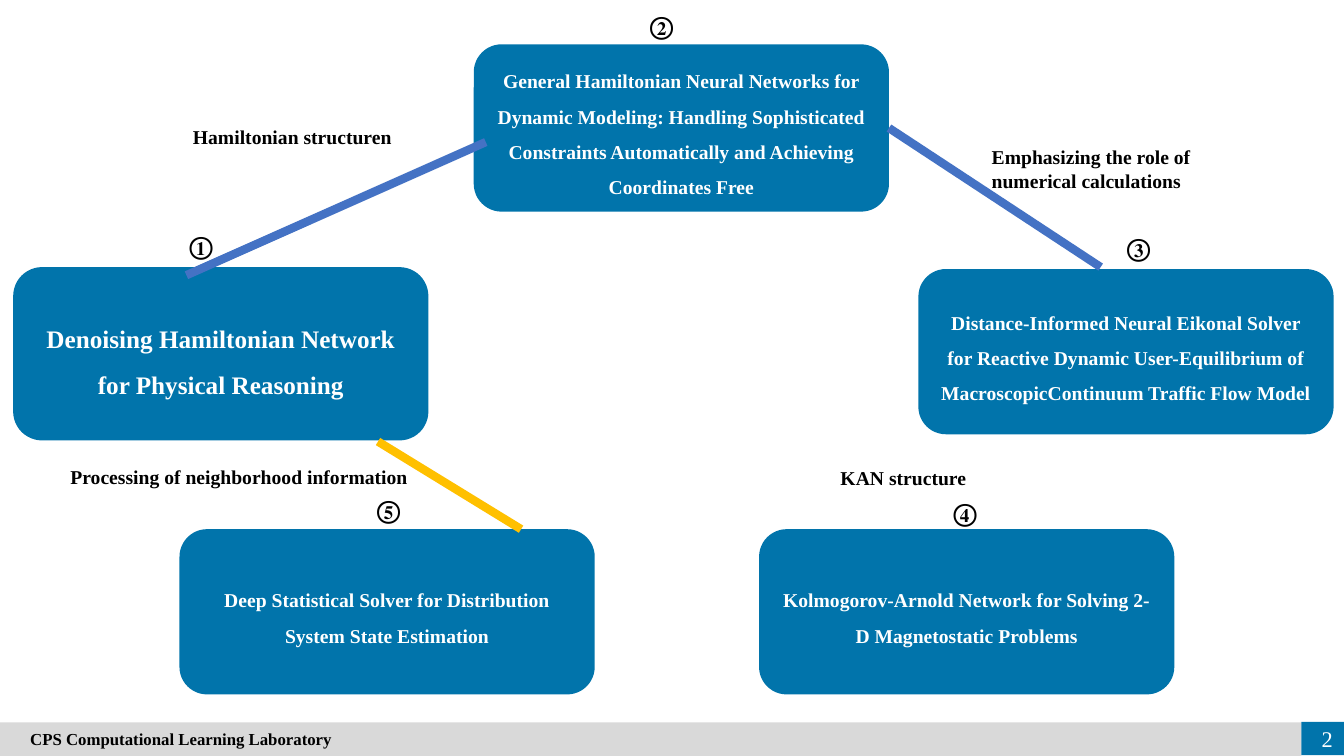
import pptx
import pptx.util
import pptx.dml.color
import pptx.enum.shapes
import pptx.enum.text
import pptx.oxml

Pt = pptx.util.Pt
RGB = pptx.dml.color.RGBColor
SHAPE = pptx.enum.shapes.MSO_SHAPE
LINK = pptx.enum.shapes.MSO_CONNECTOR
ALIGN = pptx.enum.text.PP_ALIGN
ANCHOR = pptx.enum.text.MSO_ANCHOR

TEAL = RGB(0x01, 0x74, 0xAB)
GREY = RGB(0xD9, 0xD9, 0xD9)
BLUE = RGB(0x44, 0x72, 0xC4)
GOLD = RGB(0xFF, 0xC0, 0x00)
BLACK = RGB(0, 0, 0)
WHITE = RGB(255, 255, 255)
FONT = "Times New Roman"
WIDE, HIGH = 960, 540
BOX_W = 296.6


class Deck:
    """Holds the font and the slide being drawn."""

    def __init__(self):
        self.file = pptx.Presentation()
        self.file.slide_width = Pt(WIDE)
        self.file.slide_height = Pt(HIGH)
        self.slide = self.file.slides.add_slide(self.file.slide_layouts[6])
        self.font = FONT

    def fill_text(self, shape, lines, size, color, align=ALIGN.LEFT,
                  anchor=ANCHOR.TOP, space=1.0, bold=True, wrap=True):
        frame = shape.text_frame
        frame.word_wrap = wrap
        frame.vertical_anchor = anchor
        for i, line in enumerate(lines):
            para = frame.add_paragraph() if i else frame.paragraphs[0]
            para.alignment = align
            para.line_spacing = space
            run = para.add_run()
            run.text = line
            run.font.name = self.font
            run.font.size = Pt(size)
            run.font.bold = bold
            run.font.color.rgb = color

    def label(self, x, y, w, h, line, size=14, color=BLACK, **style):
        box = self.slide.shapes.add_textbox(Pt(x), Pt(y), Pt(w), Pt(h))
        self.fill_text(box, [line], size, color, **style)

    def block(self, kind, x, y, w, h, fill):
        shape = self.slide.shapes.add_shape(kind, Pt(x), Pt(y), Pt(w), Pt(h))
        shape.shadow.inherit = False
        shape.fill.solid()
        shape.fill.fore_color.rgb = fill
        shape.line.fill.background()
        return shape

    def card(self, x, y, h, lines, size=14):
        shape = self.block(SHAPE.ROUNDED_RECTANGLE, x, y, BOX_W, h, TEAL)
        self.fill_text(shape, lines, size, WHITE, ALIGN.CENTER,
                       ANCHOR.MIDDLE, 1.5)
        return shape

    def link(self, x1, y1, x2, y2, color):
        line = self.slide.shapes.add_connector(
            LINK.STRAIGHT, Pt(x1), Pt(y1), Pt(x2), Pt(y2))
        line.line.color.rgb = color
        line.line.width = Pt(6)
        line._element.spPr.append(pptx.oxml.parse_xml(
            '<a:effectLst xmlns:a="http://schemas.openxmlformats.org/drawingml/2006/main"/>'))
        return line


def main():
    deck = Deck()

    # Footer bar and page number
    bar = deck.block(SHAPE.RECTANGLE, 0, 516, 929.5, 24, GREY)
    bar.text_frame.margin_left = Pt(21.6)
    deck.fill_text(bar, ["CPS Computational Learning Laboratory"], 12, BLACK,
                   anchor=ANCHOR.MIDDLE)
    deck.block(SHAPE.RECTANGLE, 929.5, 515.7, 30.5, 23.6, TEAL)
    deck.label(913.7, 513.4, 45.4, 28.8, "2", 16, WHITE, align=ALIGN.RIGHT,
               anchor=ANCHOR.MIDDLE, bold=False)

    # Circled numbers
    for mark, x, y in [("①", 128.2, 161.3), ("②", 457.2, 3.6),
                       ("③", 797.8, 162.7), ("④", 673.9, 351.4),
                       ("⑤", 262.1, 349.2)]:
        deck.label(x, y, 32.4, 28.8, mark, 18, wrap=False)

    # Paper cards
    deck.card(9.4, 190.8, 123.8,
              ["Denoising Hamiltonian Network for Physical Reasoning"], 18)
    general = deck.card(338.4, 31.7, 119.5, [
        "General Hamiltonian Neural Networks for Dynamic Modeling: "
        "Handling Sophisticated Constraints Automatically and Achieving "
        "Coordinates Free"])
    deck.card(656, 192.2, 118, [
        "Distance-Informed Neural Eikonal Solver for Reactive Dynamic "
        "User-Equilibrium of MacroscopicContinuum Traffic Flow Model"])
    deck.card(542.2, 378, 118, [
        "Kolmogorov-Arnold Network for Solving 2-D Magnetostatic Problems"])
    deck.card(128.2, 378, 118, ["Deep Statistical Solver for Distribution",
                                "System State Estimation"])

    # Links between papers
    deck.link(347, 101.5, 133.2, 196.6, BLUE)
    deck.link(372.2, 378, 270, 315.4, GOLD)
    right = deck.link(786.2, 190.8, 635, 91.4, BLUE)
    right.end_connect(general, 3)

    # Link labels
    deck.label(38.2, 77, 341.3, 32.4, "Hamiltonian structuren",
               align=ALIGN.CENTER, space=1.5)
    deck.label(43.2, 328.3, 277.9, 24.5,
               "Processing of neighborhood information")
    deck.label(701.3, 100.1, 196.6, 38.9,
               "Emphasizing the role of numerical calculations")
    deck.label(593.3, 329, 319.7, 24.5, "KAN structure")

    deck.file.save("out.pptx")


if __name__ == "__main__":
    main()
